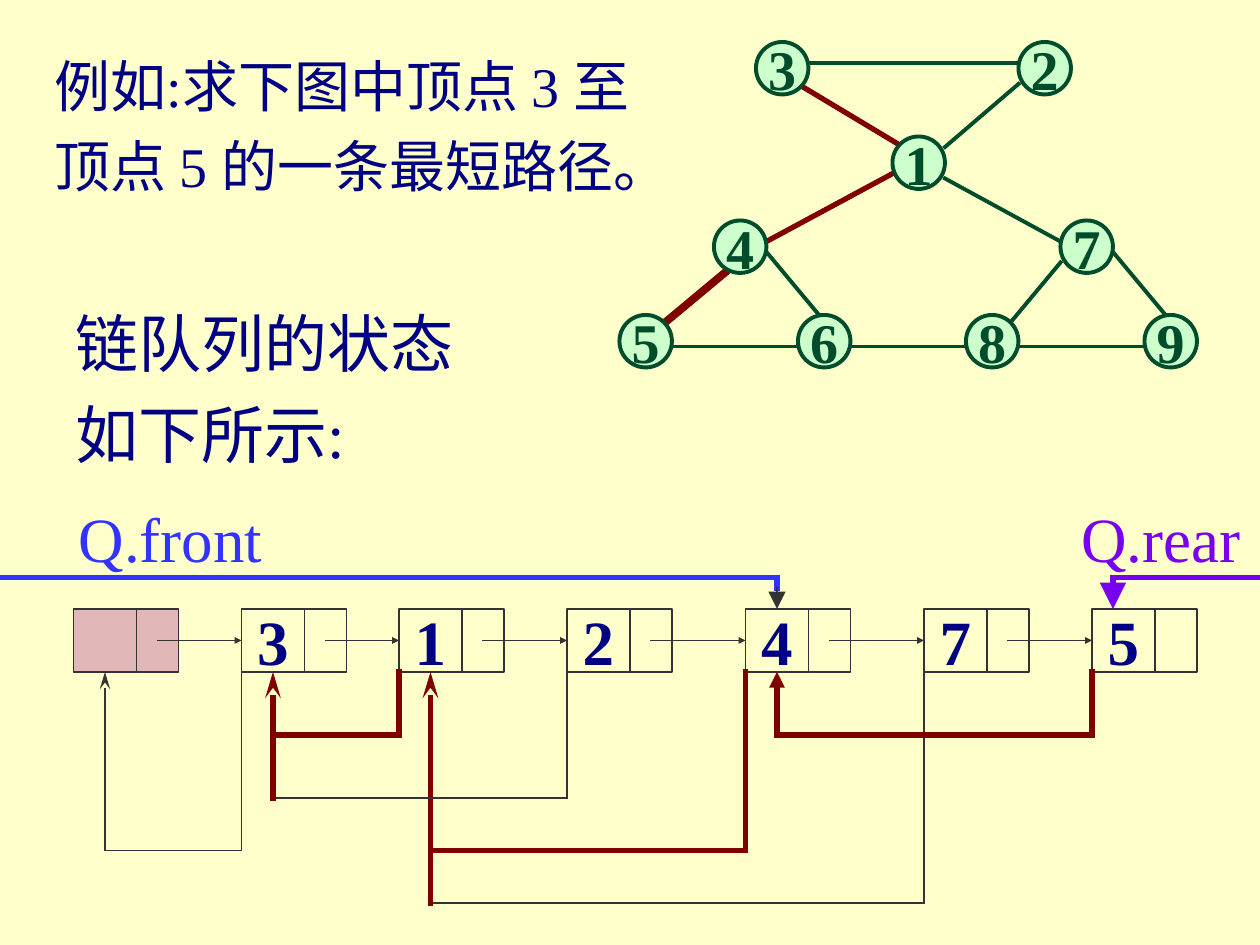
from itertools import pairwise

from lxml import etree
from pptx import Presentation
from pptx import util as u
from pptx.dml.color import RGBColor
from pptx.enum import shapes, text
from pptx.oxml.ns import qn

COLORS = {
    "background": "FFFFCC", "navy": "000082", "gray": "333333",
    "green": "004C2B", "mint": "CCFFCC", "red": "800000",
    "blue": "3333FF", "purple": "7800EE", "pink": "E1B7B7",
}
FONT = "Times New Roman"
GRID = 2.54 / 12
VERTICES = {
    "3": (13, 0), "2": (38, 0), "1": (26, 9), "4": (9, 17), "7": (42, 17),
    "5": (0, 26), "6": (17, 26), "8": (33, 26), "9": (50, 26),
}
EDGES = [
    ((18, 2), (38, 2)), ((38, 4), (31, 10)), ((31, 13), (42, 19)),
    ((42, 21), (37, 27)), ((47, 20), (52, 26)), ((14, 20), (19, 26)),
    ((5, 29), (18, 29)), ((22, 29), (33, 29)), ((38, 29), (50, 29)),
]
SHORTEST_PATH = [
    ((17, 4), (27, 10), 3), ((27, 12), (14, 19), 3), ((10, 22), (4, 27), 4.5),
]
QUEUE = {"": 7, "3": 23, "1": 38, "2": 54, "4": 71, "7": 88, "5": 104}
POINTERS = [
    ("gray", 1, [(88, 17), (88, 39), (41, 39)], None, None),
    ("red", 3, [(41, 39), (41, 17)], ("stealth", "med", "lg"), ("1", 2)),
    ("red", 3, [(71, 17), (71, 34), (41, 34)], None, None),
    ("gray", 1, [(54, 17), (54, 29), (26, 29)], None, None),
    ("red", 3, [(26, 29), (26, 17)], ("stealth", "med", "lg"), ("3", 2)),
    ("gray", 1, [(23, 17), (23, 34), (10, 34), (10, 17)],
     ("stealth", "med", "lg"), ("", 2)),
    ("red", 3, [(38, 17), (38, 23), (26, 23)], None, None),
    ("red", 3, [(104, 17), (104, 23), (74, 23), (74, 17)],
     ("triangle", "med", "med"), ("4", 2)),
    ("blue", 3, [(0, 8), (74, 8), (74, 9)], None, None),
    ("gray", 1, [(74, 9), (74, 11)], ("triangle", "lg", "lg"), ("4", 0)),
    ("purple", 3, [(120, 8), (106, 8), (106, 11)],
     ("triangle", "lg", "lg"), None),
]


def rgb(name):
    """Return the named colour."""
    return RGBColor.from_string(COLORS[name])


def grid(*values):
    """Convert twelfths of an inch to lengths."""
    return [u.Cm(v * GRID) for v in values]


def add_run(p, words, size, color, bold=False):
    """Append a formatted run to a paragraph."""
    r = p.add_run()
    r.text = words
    r.font.name, r.font.size, r.font.bold = FONT, u.Pt(size), bold
    r.font.color.rgb = rgb(color)


def add_text(slide, box, words, size, color, spacing=1.0, inset=0.25):
    """Place a text box with one paragraph."""
    tf = slide.shapes.add_textbox(*grid(*box)).text_frame
    tf.word_wrap = True
    tf.margin_left = tf.margin_right = u.Cm(inset)
    p = tf.paragraphs[0]
    p.line_spacing = spacing
    add_run(p, words, size, color)


def add_cell(slide, kind, box, line, fill=None, label="", size=36, color="navy"):
    """Place an outlined shape with a centred bold label."""
    sp = slide.shapes.add_shape(kind, *grid(*box))
    sp.shadow.inherit = False
    sp.line.color.rgb, sp.line.width = rgb(line[0]), u.Pt(line[1])
    if fill:
        sp.fill.solid()
        sp.fill.fore_color.rgb = rgb(fill)
    else:
        sp.fill.background()
    if label:
        tf = sp.text_frame
        tf.word_wrap = False
        tf.vertical_anchor = text.MSO_ANCHOR.MIDDLE
        p = tf.paragraphs[0]
        p.alignment = text.PP_ALIGN.CENTER
        add_run(p, label, size, color, bold=True)
    return sp


def add_line(slide, origin, start, end, color, width, head=None):
    """Draw a square-capped connector, with an optional arrowhead at its end."""
    (x, y), (x1, y1), (x2, y2) = origin, start, end
    cn = slide.shapes.add_connector(
        shapes.MSO_CONNECTOR.STRAIGHT, *grid(x + x1, y + y1, x + x2, y + y2))
    cn.line.color.rgb, cn.line.width = rgb(color), u.Pt(width)
    ln = cn._element.spPr.find(qn("a:ln"))
    ln.set("cap", "sq")
    if head:
        etree.SubElement(ln, qn("a:tailEnd"),
                         **dict(zip(("type", "w", "len"), head)))
    etree.SubElement(cn._element.spPr, qn("a:effectLst"))
    return cn


def add_graph(slide, x, y):
    """Draw the graph with its shortest path, from its top left corner."""
    for start, end in EDGES:
        add_line(slide, (x, y), start, end, "green", 2.25)
    for start, end, width in SHORTEST_PATH:
        add_line(slide, (x, y), start, end, "red", width)
    for label, (dx, dy) in VERTICES.items():
        add_cell(slide, shapes.MSO_SHAPE.OVAL, (x + dx, y + dy, 5, 5),
                 ("green", 2.25), "mint", label, 32, "green")


def add_queue(slide, x, y):
    """Draw the linked queue and its pointers, from its top left corner."""
    data = {}
    for label, left in QUEUE.items():
        fill = None if label else "pink"
        data[label] = add_cell(slide, shapes.MSO_SHAPE.RECTANGLE,
                               (x + left, y + 11, 6, 6), ("gray", 1), fill, label)
        add_cell(slide, shapes.MSO_SHAPE.RECTANGLE,
                 (x + left + 6, y + 11, 4, 6), ("gray", 1), fill)
    for node, following in pairwise(QUEUE):
        cn = add_line(slide, (x, y), (QUEUE[node] + 8, 14), (QUEUE[following], 14),
                      "gray", 1, ("triangle", "sm", "sm"))
        cn.end_connect(data[following], 1)
    for color, width, points, head, target in POINTERS:
        segments = list(pairwise(points))
        for start, end in segments[:-1]:
            add_line(slide, (x, y), start, end, color, width)
        cn = add_line(slide, (x, y), *segments[-1], color, width, head)
        if target:
            cn.end_connect(data[target[0]], target[1])
    add_text(slide, (x + 7.5, y, 24, 8.4), "Q.front", 36, "blue", inset=0)
    add_text(slide, (x + 103, y, 17, 8.4), "Q.rear", 36, "purple", inset=0)


def main():
    """Build and save the slide."""
    prs = Presentation()
    prs.slide_width, prs.slide_height = u.Cm(25.4), u.Cm(19.05)
    slide = prs.slides.add_slide(prs.slide_layouts[6])
    slide.background.fill.solid()
    slide.background.fill.fore_color.rgb = rgb("background")
    add_text(slide, (4, 3, 59, 24.2),
             "例如:求下图中顶点 3 至顶点 5 的一条最短路径。", 32, "navy", 1.2)
    add_text(slide, (6, 27, 44, 18.5), "链队列的状态如下所示:", 36, "navy", 1.2)
    add_graph(slide, 59, 4)
    add_queue(slide, 0, 47)
    prs.save("out.pptx")


if __name__ == "__main__":
    main()
